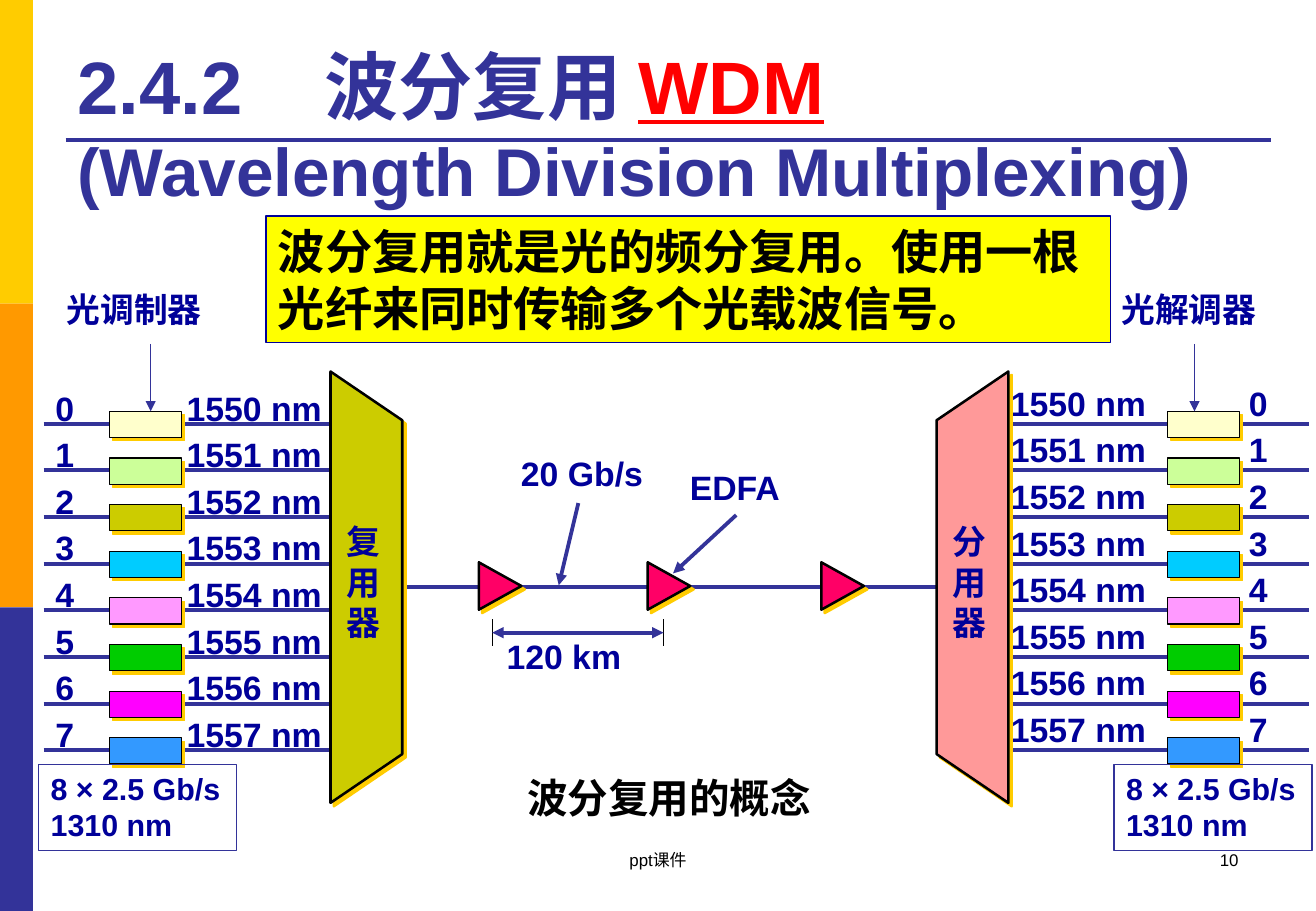
from dataclasses import dataclass

from lxml import etree
from pptx import Presentation
from pptx.dml.color import RGBColor
from pptx.enum.shapes import MSO_CONNECTOR, MSO_SHAPE
from pptx.enum.text import MSO_ANCHOR, PP_ALIGN
from pptx.oxml.ns import qn
from pptx.util import Cm, Pt

RECT = MSO_SHAPE.RECTANGLE
WEDGE = MSO_SHAPE.ISOSCELES_TRIANGLE
LINE = MSO_CONNECTOR.STRAIGHT
LEFT, MID, RIGHT = PP_ALIGN.LEFT, PP_ALIGN.CENTER, PP_ALIGN.RIGHT
TOP, BASE = MSO_ANCHOR.TOP, MSO_ANCHOR.BOTTOM

BLUE, NAVY, GOLD, BLACK = "333399", "000099", "FFCC00", "000000"
TINTS = ["FFFFCC", "CCFF99", "CCCC00", "00CCFF",
         "FF99FF", "00CC00", "FF00FF", "3399FF"]
ROW, STEP = 8.86, 6.83 / 7


@dataclass
class Side:
    title: str
    title_x: float
    arrow_x: float
    wire: tuple[float, float]
    box_x: float
    list_x: float
    list_y: float
    list_w: float
    tab: float
    row: str
    note_x: float
    body: str
    body_x: tuple[float, float]
    fill: str
    name_x: float


SIDES = [
    Side("光调制器", 1.14, 3.15, (0.91, 7.21), 2.29, 0.91, 7.85, 6.88, 2.74,
         "{0}\t155{0} nm", 0.81, "复\n用\n器", (6.91, 8.41), "CCCC00", 6.99),
    Side("光解调器", 23.19, 24.97, (21.08, 27.36), 24.41, 20.88, 7.75, 6.2, 4.98,
         "155{0} nm\t{0}", 23.29, "分\n用\n器", (21.08, 19.58), "FF9999", 19.66),
]

deck = Presentation()
deck.slide_width, deck.slide_height = Cm(27.51), Cm(19.05)
slide = deck.slides.add_slide(deck.slide_layouts[6])
shapes = slide.shapes


def tint(code: str) -> RGBColor:
    return RGBColor.from_string(code)


def write(frame, text: str, size=20, color=NAVY, bold=True, under=False,
          align=LEFT, tab=0.0, pitch=None, join=False) -> None:
    """Add one paragraph per line, or join the text to the last paragraph."""
    for line in text.split("\n"):
        para = frame.paragraphs[-1]
        if para.runs and not join:
            para = frame.add_paragraph()
        para.alignment = align
        if pitch:
            para.line_spacing = Pt(pitch)
        if tab:
            tabs = etree.SubElement(para._p.get_or_add_pPr(), qn("a:tabLst"))
            etree.SubElement(tabs, qn("a:tab"), pos=str(Cm(tab)), algn="l")
        run = para.add_run()
        run.text = line
        font = run.font
        font.name, font.size, font.bold = "Arial", Pt(size), bold
        font.underline = under
        font.color.rgb = tint(color)


def area(x: float, y: float, w: float, h: float, wrap=True, anchor=TOP):
    frame = shapes.add_textbox(Cm(x), Cm(y), Cm(w), Cm(h)).text_frame
    frame.word_wrap = wrap
    frame.vertical_anchor = anchor
    return frame


def style(shape, fill=None, edge=None, width=0.75, shade=False) -> None:
    shape.shadow.inherit = False
    if fill:
        shape.fill.solid()
        shape.fill.fore_color.rgb = tint(fill)
    else:
        shape.fill.background()
    if edge:
        shape.line.color.rgb = tint(edge)
        shape.line.width = Pt(width)
    else:
        shape.line.fill.background()
    if shade:
        effects = shape._element.spPr.find(qn("a:effectLst"))
        cast = etree.SubElement(effects, qn("a:outerShdw"), dist=str(Pt(2.8)),
                                dir="2700000", algn="ctr", rotWithShape="0")
        etree.SubElement(cast, qn("a:srgbClr"), val=GOLD)


def block(x: float, y: float, w: float, h: float, kind=RECT, **look):
    shape = shapes.add_shape(kind, Cm(x), Cm(y), Cm(w), Cm(h))
    style(shape, **look)
    frame = shape.text_frame
    frame.word_wrap = True
    frame.vertical_anchor = TOP
    return shape


def rule(x1: float, y1: float, x2: float, y2: float,
         color=BLUE, width=2.25, ends=()) -> None:
    line = shapes.add_connector(LINE, Cm(x1), Cm(y1), Cm(x2), Cm(y2))
    line.line.color.rgb = tint(color)
    line.line.width = Pt(width)
    for end in ends:
        etree.SubElement(line.line._get_or_add_ln(), qn(f"a:{end}"), type="triangle")
    etree.SubElement(line._element.spPr, qn("a:effectLst"))


def rows(side: Side) -> None:
    """Wave list, wires and coloured boxes of one side."""
    frame = area(side.list_x, side.list_y, side.list_w, 8.13)
    for i in range(len(TINTS)):
        write(frame, side.row.format(i), tab=side.tab, pitch=27.6)
    for i, fill in enumerate(TINTS):
        y = ROW + i * STEP
        rule(side.wire[0], y, side.wire[1], y)
        block(side.box_x, y - 0.26, 1.5, 0.55, fill=fill, edge=BLACK, shade=True)


def body(side: Side) -> None:
    """Tapered body with its upright name."""
    far, near = side.body_x
    pen = shapes.build_freeform(Cm(far), Cm(16.79), scale=1.0)
    pen.add_line_segments([(Cm(near), Cm(15.77)), (Cm(near), Cm(8.79)),
                           (Cm(far), Cm(7.77))], close=True)
    style(pen.convert_to_shape(), fill=side.fill, edge=BLACK, width=1.5, shade=True)
    write(area(side.name_x, 10.77, 1.22, 2.82, wrap=False), side.body)


# Side bar and title
for i, fill in enumerate([GOLD, "FF9900", BLUE]):
    block(0, i * 6.35, 0.69, 6.35, fill=fill)
rule(1.37, 2.92, 26.57, 2.92)
head = area(1.37, 0.53, 25.17, 3.99, anchor=BASE)
write(head, "2.4.2\t波分复用 ", size=44, color=BLUE, tab=5.16)
write(head, "WDM", size=44, color="FF0000", under=True, join=True)
write(head, "(Wavelength Division Multiplexing)", size=40, color=BLUE)

# Definition
fact = block(5.56, 4.52, 17.65, 2.64, fill="FFFF00", edge=NAVY)
write(fact.text_frame, "波分复用就是光的频分复用。使用一根光纤来同时传输多个光载波信号。",
      size=28, color=BLACK)

# Both ends of the link
rule(7.37, 12.27, 20.9, 12.27)
for side in SIDES:
    rows(side)
    body(side)
    note = block(side.note_x, 15.98, 4.14, 1.8, edge=BLUE)
    write(note.text_frame, "8 × 2.5 Gb/s\n1310 nm", size=18)
    write(area(side.title_x, 5.92, 3.38, 1.12, wrap=False), side.title)
    rule(side.arrow_x, 7.19, side.arrow_x, 8.6, width=0.75, ends=["tailEnd"])

# Amplifiers
for x in (9.96, 13.49, 17.12):
    amp = block(x, 11.81, 0.99, 0.89, kind=WEDGE, fill="FF0066",
                edge=BLACK, width=1.5, shade=True)
    amp.rotation = 90

# Link labels
for text, x, y, w in [("20 Gb/s", 10.64, 9.35, 3.07), ("EDFA", 14.17, 9.63, 2.41),
                      ("120 km", 10.34, 13.18, 2.92)]:
    write(area(x, y, w, 1.12, wrap=False), text)
rule(12.09, 10.52, 11.68, 12.24, ends=["tailEnd"])
rule(15.39, 10.77, 14.07, 11.99, ends=["tailEnd"])
for x in (10.29, 13.87):
    rule(x, 12.95, x, 13.51, color=BLACK, width=0.75)
rule(10.29, 13.23, 13.87, 13.23, ends=["headEnd", "tailEnd"])

# Caption and footer
write(area(8.41, 16.05, 11.15, 1.27), "波分复用的概念", size=24, color=BLACK, align=MID)
for text, x, w, align in [("10", 19.71, 6.43, RIGHT), ("ppt课件", 9.4, 8.71, MID)]:
    write(area(x, 17.65, w, 1.27), text, size=10, color=BLACK, bold=False, align=align)

deck.save("out.pptx")
